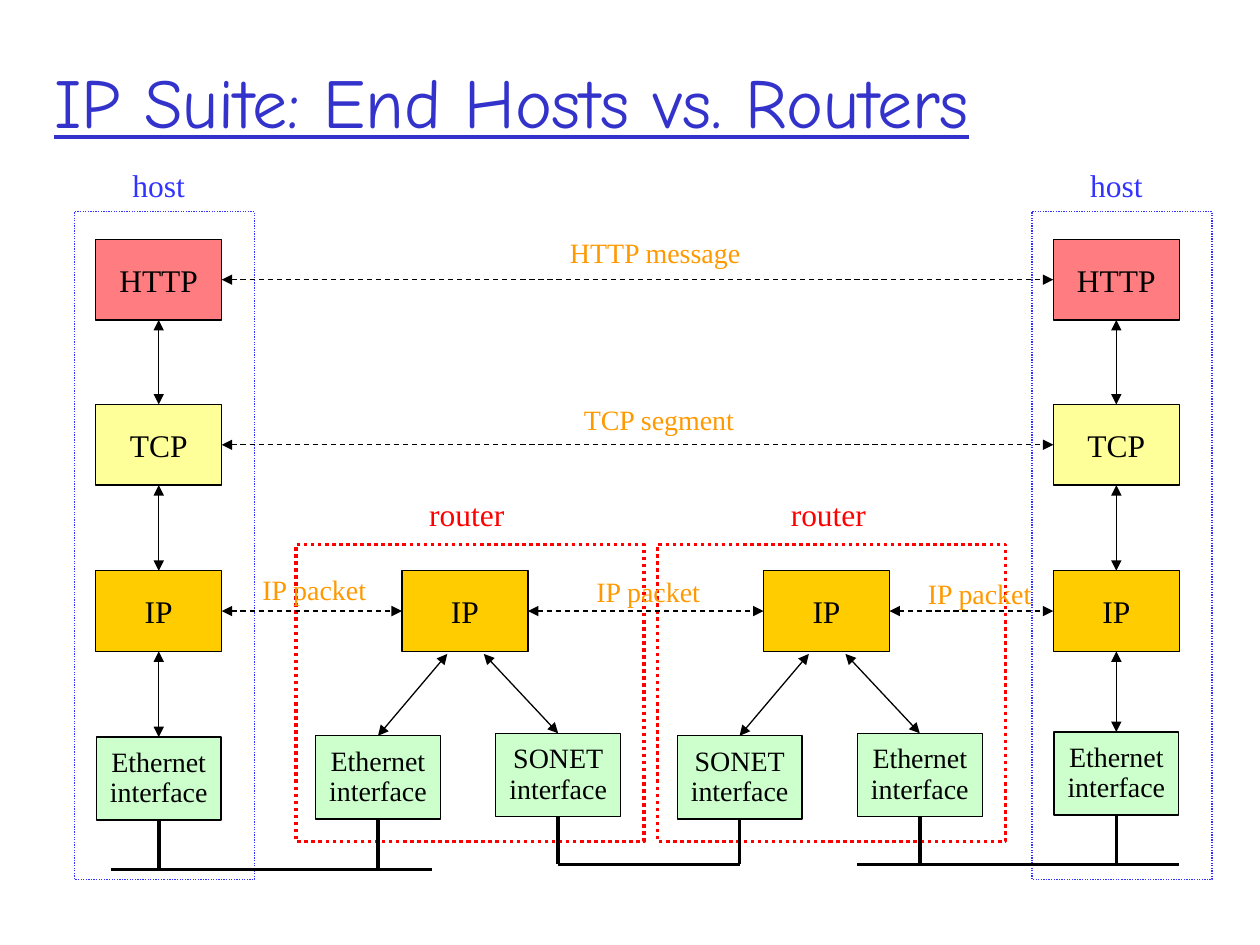
from lxml.etree import SubElement
from pptx import Presentation
from pptx.dml.color import RGBColor
from pptx.enum.dml import MSO_LINE
from pptx.enum.shapes import MSO_CONNECTOR, MSO_SHAPE
from pptx.enum.text import MSO_ANCHOR, PP_ALIGN
from pptx.oxml.ns import qn
from pptx.shapes.autoshape import Shape
from pptx.util import Inches, Pt

WIDTH, HEIGHT = Inches(10), Inches(7.5)
COL, ROW = WIDTH // 100, HEIGHT // 75
BLACK = RGBColor(0x00, 0x00, 0x00)
TITLE_BLUE = RGBColor(0x33, 0x33, 0xCC)
HOST_BLUE = RGBColor(0x33, 0x33, 0xFF)
ROUTER_RED = RGBColor(0xFF, 0x00, 0x00)
MESSAGE_ORANGE = RGBColor(0xFF, 0x99, 0x00)
PINK = RGBColor(0xFF, 0x7C, 0x80)
YELLOW = RGBColor(0xFF, 0xFF, 0x99)
GOLD = RGBColor(0xFF, 0xCC, 0x00)
GREEN = RGBColor(0xCC, 0xFF, 0xCC)
TOP, LEFT, BOTTOM, RIGHT = range(4)
BOX_W, BOX_H = 10, 6.4
PORT_W, PORT_H = 9.9, 6.6
IP_ROW = 45.3


def grid(x, y, w, h):
    """Turn columns and rows into slide lengths."""
    return int(x * COL), int(y * ROW), int(w * COL), int(h * ROW)


def write(tf, text, size, color, spacing=1.0):
    """Fill a text frame with centred lines of Times New Roman."""
    tf.vertical_anchor = MSO_ANCHOR.MIDDLE
    tf.margin_left = tf.margin_right = Inches(0.05)
    for i, words in enumerate(text.split("\n")):
        p = tf.paragraphs[0] if i == 0 else tf.add_paragraph()
        p.alignment, p.line_spacing = PP_ALIGN.CENTER, spacing
        r = p.add_run()
        r.text = words
        style = {"name": "Times New Roman", "size": Pt(size)}
        for name, value in style.items():
            setattr(r.font, name, value)
        r.font.color.rgb = color


def label(s, x, y, text, size, color):
    """Place a one-line label centred on column x."""
    sp = s.shapes.add_textbox(*grid(x - 8, y, 16, size * 0.22))
    sp.text_frame.word_wrap = True
    write(sp.text_frame, text, size, color)


def rect(s, x, y, w, h, line=BLACK, width=0.75, fill=None, dash=None):
    """Draw an outlined rectangle, filled if a colour is given."""
    sp = s.shapes.add_shape(MSO_SHAPE.RECTANGLE, *grid(x, y, w, h))
    sp.shadow.inherit = False
    if fill is None:
        sp.fill.background()
    else:
        sp.fill.solid()
        sp.fill.fore_color.rgb = fill
    sp.line.color.rgb = line
    sp.line.width = Pt(width)
    sp.line.dash_style = dash
    return sp


def layer(s, x, y, text, fill):
    """Draw a protocol box centred on column x."""
    sp = rect(s, x - BOX_W / 2, y, BOX_W, BOX_H, fill=fill)
    write(sp.text_frame, text, 18, BLACK)
    return sp


def interface(s, x, y, kind):
    """Draw a network interface box centred on column x."""
    sp = rect(s, x - PORT_W / 2, y, PORT_W, PORT_H, fill=GREEN)
    write(sp.text_frame, f"{kind}\ninterface", 16, BLACK, 0.9)
    return sp


def connect(s, start, end, width=0.75, dash=None, arrows=True):
    """Join two ends, each a (column, row) point or a (shape, side) pair."""
    points = [(0, 0) if isinstance(e[0], Shape) else (int(e[0] * COL), int(e[1] * ROW))
              for e in (start, end)]
    c = s.shapes.add_connector(MSO_CONNECTOR.STRAIGHT, *points[0], *points[1])
    for join, e in ((c.begin_connect, start), (c.end_connect, end)):
        if isinstance(e[0], Shape):
            join(*e)
    c.line.color.rgb = BLACK
    c.line.width = Pt(width)
    c.line.dash_style = dash
    if arrows:
        for tag in ("a:headEnd", "a:tailEnd"):
            SubElement(c.line._get_or_add_ln(), qn(tag), type="triangle")
    SubElement(c._element.spPr, qn("a:effectLst"))


def title(s, text):
    """Set the underlined slide title."""
    sp = s.shapes.title
    sp.left, sp.top, sp.width, sp.height = grid(3.3, 4.1, 88.2, 7.7)
    tf = sp.text_frame
    tf.vertical_anchor = MSO_ANCHOR.MIDDLE
    p = tf.paragraphs[0]
    p.alignment = PP_ALIGN.LEFT
    r = p.add_run()
    r.text = text
    style = {"name": "Comic Neue", "size": Pt(40), "underline": True}
    for name, value in style.items():
        setattr(r.font, name, value)
    r.font.color.rgb = TITLE_BLUE


def host(s, x, y, w, h, port_row):
    """Draw an end host with its four-layer stack and return the layers."""
    rect(s, x, y, w, h, HOST_BLUE, dash=MSO_LINE.ROUND_DOT)
    middle = x + 6.7
    label(s, middle, y - 4.1, "host", 18, HOST_BLUE)
    stack = [layer(s, middle, y + 2.2, "HTTP", PINK),
             layer(s, middle, y + 15.3, "TCP", YELLOW),
             layer(s, middle, IP_ROW, "IP", GOLD),
             interface(s, middle, port_row, "Ethernet")]
    for upper, lower in zip(stack, stack[1:]):
        connect(s, (upper, BOTTOM), (lower, TOP))
    return stack


def router(s, x, y, w, h, kinds):
    """Draw a router with IP over two interfaces and return the three boxes."""
    rect(s, x, y, w, h, ROUTER_RED, 2, dash=MSO_LINE.ROUND_DOT)
    label(s, x + 13.55, y - 4.4, "router", 18, ROUTER_RED)
    ip = layer(s, x + 13.4, IP_ROW, "IP", GOLD)
    ports = []
    for kind, port_x, port_row, start_x in zip(kinds, (6.5, 20.8), (58.4, 58.2), (12, 14.9)):
        port = interface(s, x + port_x, port_row, kind)
        connect(s, (x + start_x, 51.9), (port, TOP))
        ports.append(port)
    return ip, *ports


def network(s, x1, x2, y, ports):
    """Draw a shared cable with a drop to each interface."""
    connect(s, (x1, y), (x2, y), 2, arrows=False)
    for port in ports:
        center = (port.left + port.width / 2) / COL
        connect(s, (port, BOTTOM), (center, y), 2, arrows=False)


def message(s, sender, receiver, x, y, text):
    """Draw a dashed peer exchange and its label."""
    connect(s, (sender, RIGHT), (receiver, LEFT), dash=MSO_LINE.DASH)
    label(s, x, y, text, 16, MESSAGE_ORANGE)


def main():
    """Build the slide and save it."""
    prs = Presentation()
    prs.slide_width, prs.slide_height = WIDTH, HEIGHT
    s = prs.slides.add_slide(prs.slide_layouts[5])
    title(s, "IP Suite: End Hosts vs. Routers")

    http_a, tcp_a, ip_a, port_a = host(s, 5.9, 16.8, 14.3, 53, 58.5)
    http_b, tcp_b, ip_b, port_b = host(s, 81.9, 16.8, 14.3, 53, 58.1)
    ip_1, in_1, out_1 = router(s, 23.5, 43.2, 27.6, 23.6, ("Ethernet", "SONET"))
    ip_2, in_2, out_2 = router(s, 52.2, 43.2, 27.6, 23.6, ("SONET", "Ethernet"))

    network(s, 8.8, 34.3, 69, (port_a, in_1))
    network(s, 44.3, 58.7, 68.6, (out_1, in_2))
    network(s, 68, 93.6, 68.6, (out_2, port_b))

    message(s, http_a, http_b, 52, 18.3, "HTTP message")
    message(s, tcp_a, tcp_b, 52.3, 31.5, "TCP segment")
    message(s, ip_a, ip_1, 24.95, 45, "IP packet")
    message(s, ip_1, ip_2, 51.45, 45.2, "IP packet")
    message(s, ip_2, ip_b, 77.75, 45.3, "IP packet")
    prs.save("out.pptx")


if __name__ == "__main__":
    main()
